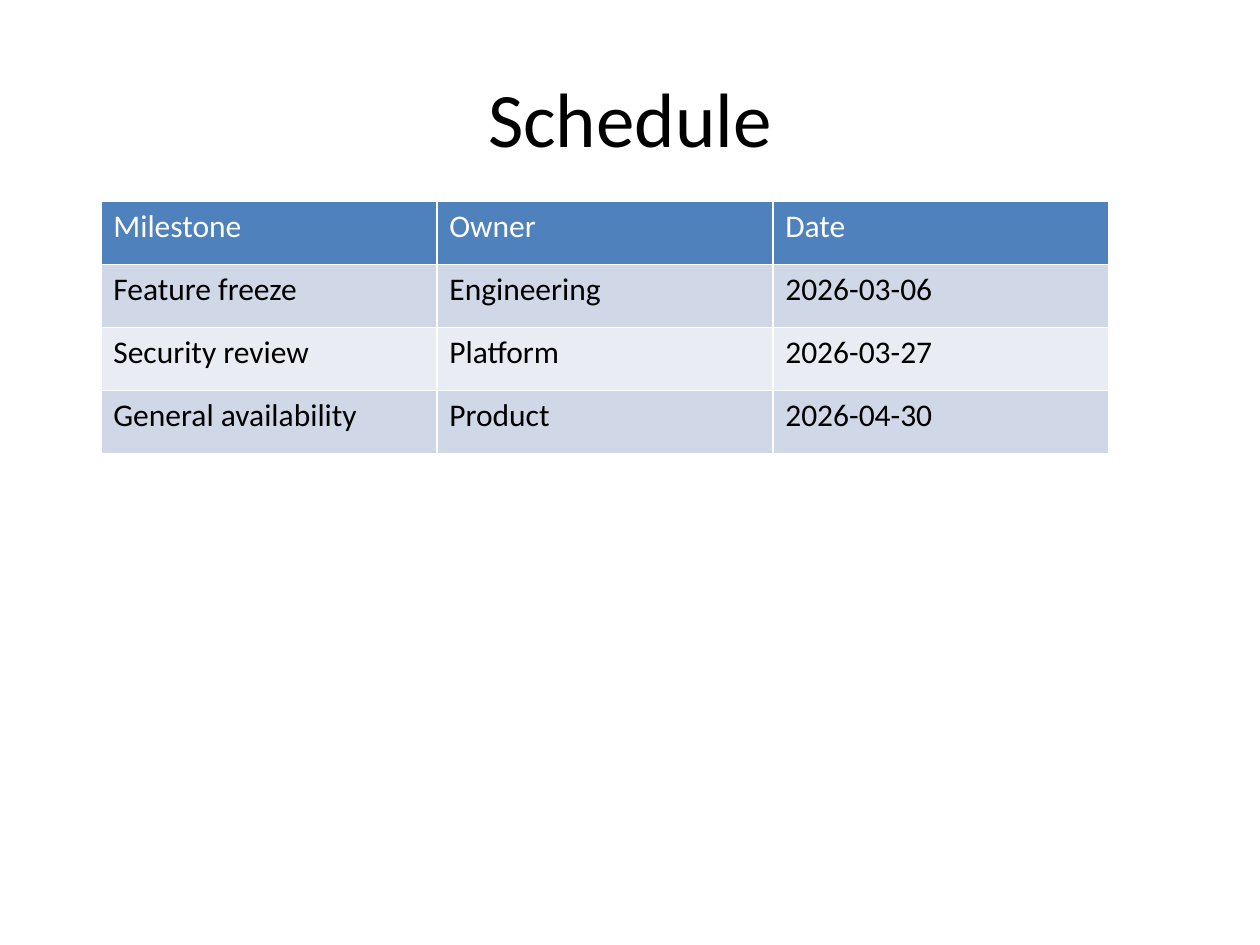
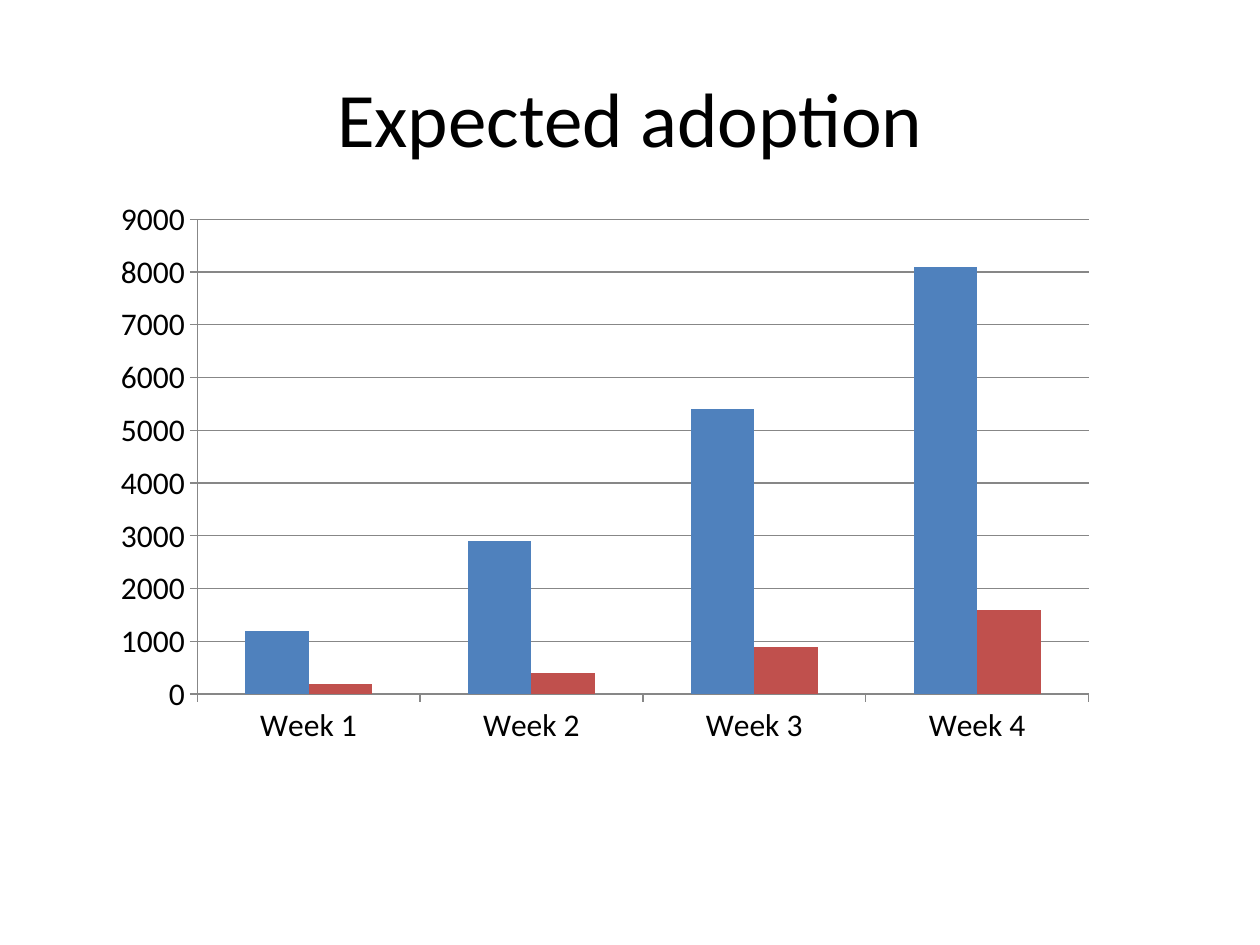
from dataclasses import dataclass

from lxml.etree import SubElement
from pptx import Presentation
from pptx.chart.data import CategoryChartData
from pptx.dml.color import RGBColor
from pptx.enum.chart import XL_CHART_TYPE as ChartType, XL_TICK_MARK as TickMark
from pptx.enum.text import MSO_ANCHOR as Anchor, PP_ALIGN as Align
from pptx.oxml.ns import qn
from pptx.util import Pt

PX = 9144  # EMU per px, 100 px to the inch
TITLE_ONLY = 5


@dataclass(frozen=True)
class Theme:
    font: str = "Calibri"
    title_size: int = 44
    body_size: int = 18
    ink: str = "000000"
    paper: str = "FFFFFF"
    blue: str = "4F81BD"
    red: str = "C0504D"
    bands: tuple = ("D0D8E7", "E9ECF3")
    axis: str = "878787"
    axis_width: float = 0.75
    border_width: float = 0.96


THEME = Theme()

MILESTONES = [
    ("Milestone", "Owner", "Date"),
    ("Feature freeze", "Engineering", "2026-03-06"),
    ("Security review", "Platform", "2026-03-27"),
    ("General availability", "Product", "2026-04-30"),
]
WEEKS = ["Week 1", "Week 2", "Week 3", "Week 4"]
ADOPTION = [
    ("Series 1", THEME.blue, (1200, 2900, 5400, 8100)),
    ("Series 2", THEME.red, (200, 400, 900, 1600)),
]


def emu(box):
    return [length * PX for length in box]


def style_font(font, size, color):
    font.name = THEME.font
    font.size = Pt(size)
    font.bold = False
    font.color.rgb = RGBColor.from_string(color)


def paint(fill, color):
    fill.solid()
    fill.fore_color.rgb = RGBColor.from_string(color)


def write(frame, text, size, color, align=Align.LEFT):
    paragraph = frame.paragraphs[0]
    paragraph.alignment = align
    run = paragraph.add_run()
    run.text = text
    style_font(run.font, size, color)


def titled_slide(deck, text, box=(50, 30, 900, 125)):
    slide = deck.slides.add_slide(deck.slide_layouts[TITLE_ONLY])
    paint(slide.background.fill, THEME.paper)
    title = slide.shapes.title
    title.left, title.top, title.width, title.height = emu(box)
    title.text_frame.vertical_anchor = Anchor.MIDDLE
    write(title.text_frame, text, THEME.title_size, THEME.ink, Align.CENTER)
    return slide


def add_borders(cell):
    properties = cell._tc.get_or_add_tcPr()
    for side in ("a:lnL", "a:lnR", "a:lnT", "a:lnB"):
        line = SubElement(properties, qn(side), w=str(Pt(THEME.border_width)))
        solid = SubElement(line, qn("a:solidFill"))
        SubElement(solid, qn("a:srgbClr"), val=THEME.paper)


def schedule_table(slide, box):
    left, top, width, height = emu(box)
    column_count = len(MILESTONES[0])
    table = slide.shapes.add_table(
        len(MILESTONES), column_count, left, top, width, height).table
    for column in table.columns:
        column.width = width // column_count
    for r, milestone in enumerate(MILESTONES):
        table.rows[r].height = height // len(MILESTONES)
        is_header = r == 0
        band = THEME.blue if is_header else THEME.bands[(r - 1) % 2]
        ink = THEME.paper if is_header else THEME.ink
        for c, text in enumerate(milestone):
            cell = table.cell(r, c)
            add_borders(cell)
            paint(cell.fill, band)
            write(cell.text_frame, text, THEME.body_size, ink)


def style_line(line):
    line.color.rgb = RGBColor.from_string(THEME.axis)
    line.width = Pt(THEME.axis_width)


def adoption_chart(slide, box):
    data = CategoryChartData()
    data.categories = WEEKS
    for name, _, users in ADOPTION:
        data.add_series(name, users)
    chart = slide.shapes.add_chart(
        ChartType.COLUMN_CLUSTERED, *emu(box), data).chart
    chart.has_title = False
    chart.has_legend = False
    style_font(chart.font, THEME.body_size, THEME.ink)

    columns = chart.plots[0]
    columns.vary_by_categories = False
    columns.gap_width = 150
    columns.overlap = 0
    for series, (_, color, _) in zip(columns.series, ADOPTION):
        paint(series.format.fill, color)

    for axis in (chart.category_axis, chart.value_axis):
        axis.major_tick_mark = TickMark.OUTSIDE
        axis.minor_tick_mark = TickMark.NONE
        style_line(axis.format.line)
        style_font(axis.tick_labels.font, THEME.body_size, THEME.ink)
    scale = chart.value_axis
    scale.minimum_scale, scale.maximum_scale, scale.major_unit = 0, 9000, 1000
    scale.has_major_gridlines = True
    style_line(scale.major_gridlines.format.line)


def main():
    deck = Presentation()
    deck.slide_width, deck.slide_height = emu((1000, 750))
    schedule_table(titled_slide(deck, "Schedule"), (80, 160, 800, 200))
    adoption_chart(titled_slide(deck, "Expected adoption"), (80, 150, 800, 450))
    deck.save("out.pptx")


if __name__ == "__main__":
    main()
